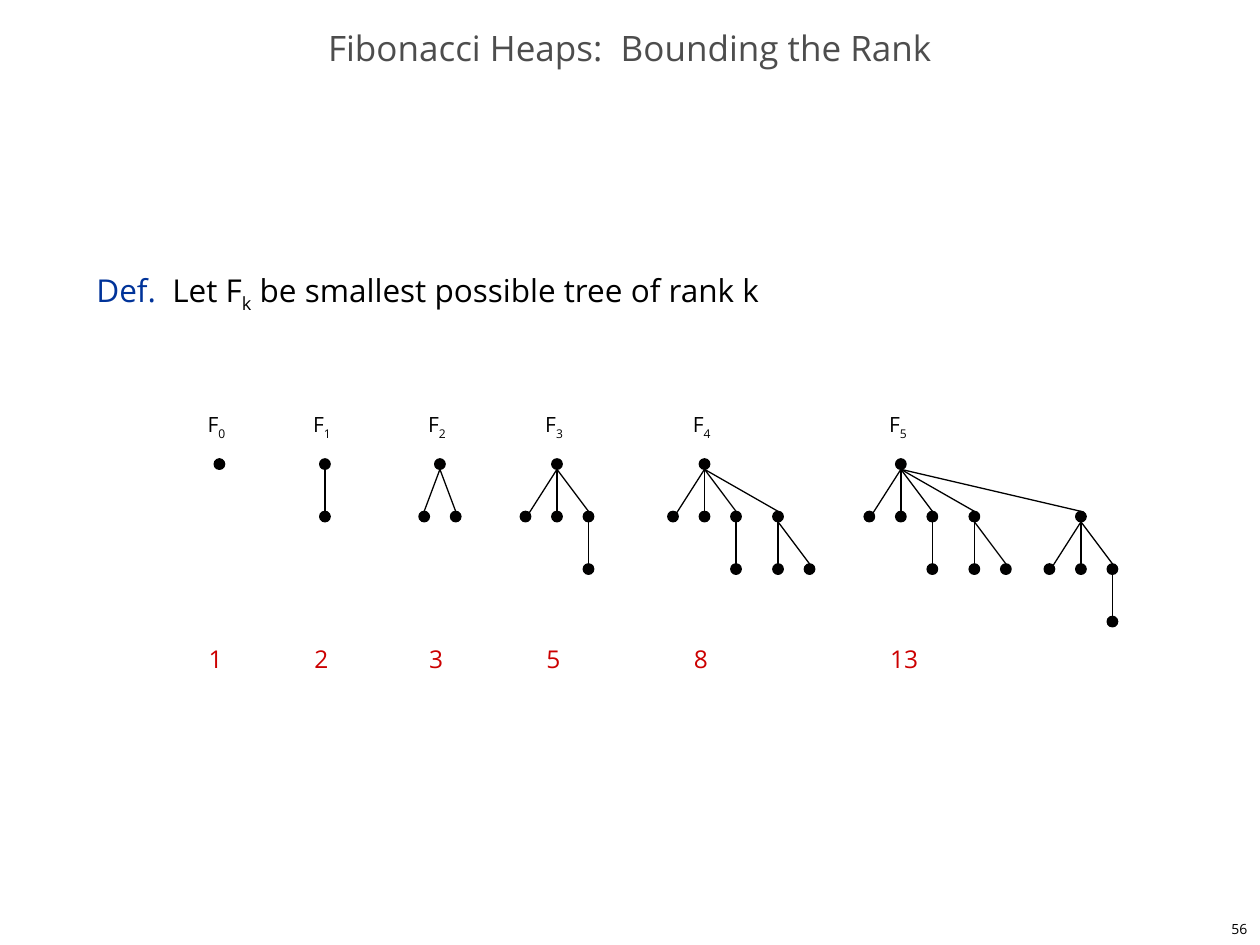
"""Build the slide on the smallest Fibonacci heap trees of each rank."""
from dataclasses import dataclass
from typing import NamedTuple

from lxml import etree
from pptx import Presentation
from pptx import util as u
from pptx.dml.color import RGBColor
from pptx.enum import shapes, text
from pptx.oxml.ns import qn

COLUMNS, ROWS = 120, 90
WIDTH, HEIGHT = u.Inches(10), u.Inches(7.5)
FONT = "Open Sans"
BLACK, GREY, BLUE, RED = "000000", "4D4D4D", "003399", "CC0000"
DOT_FILL = "010000"
DOT_SIZE, LEVEL = 1, 5
CORNER = 0.35
ROOT_ROW, LABEL_ROW, COUNT_ROW = 44.2, 38.64, 60.72
CHILD_OFFSETS = (-3, 0, 3, 7, 17.15)


class Area(NamedTuple):
    """A rectangle in grid columns and rows."""
    column: float
    row: float
    columns: float
    rows: float


class Span(NamedTuple):
    """A stretch of text with its colour and position."""
    words: str
    color: str = BLACK
    subscript: bool = False


@dataclass(frozen=True)
class Tree:
    """A smallest tree: its rank, node count and root column."""
    rank: int
    nodes: int
    column: float
    lean: float = 0


TREES = (
    Tree(0, 1, 20.9),
    Tree(1, 2, 30.95),
    Tree(2, 3, 41.9, lean=-1.5),
    Tree(3, 5, 53.05),
    Tree(4, 8, 67.1),
    Tree(5, 13, 85.8),
)


def x(column: float) -> int:
    """Return the length of a number of grid columns."""
    return round(WIDTH * column / COLUMNS)


def y(row: float) -> int:
    """Return the length of a number of grid rows."""
    return round(HEIGHT * row / ROWS)


def rgb(value: str) -> RGBColor:
    """Turn a hex string into a colour."""
    return RGBColor.from_string(value)


def place(box, area: Area) -> None:
    """Move and size a shape to an area."""
    box.left, box.top = x(area.column), y(area.row)
    box.width, box.height = x(area.columns), y(area.rows)


def write(box, *spans: Span, size: float, align=text.PP_ALIGN.LEFT,
          anchor=text.MSO_ANCHOR.TOP, wrap=False, spacing=None) -> None:
    """Fill a box with one formatted paragraph."""
    frame = box.text_frame
    frame.auto_size = text.MSO_AUTO_SIZE.NONE
    frame.word_wrap, frame.vertical_anchor = wrap, anchor
    para = frame.paragraphs[0]
    para.alignment, para.line_spacing = align, spacing
    for part in spans:
        span = para.add_run()
        span.text = part.words
        span.font.name, span.font.size = FONT, u.Pt(size)
        span.font.color.rgb = rgb(part.color)
        if part.subscript:
            span.font._element.set("baseline", "-25000")


def add_text(page, area: Area, *spans: Span, **style) -> None:
    """Add a text box with formatted spans."""
    box = page.shapes.add_textbox(0, 0, 0, 0)
    place(box, area)
    write(box, *spans, **style)


def add_dot(page, column: float, row: float):
    """Draw a node centred on a grid point."""
    dot = page.shapes.add_shape(shapes.MSO_SHAPE.OVAL, 0, 0, 0, 0)
    half = DOT_SIZE / 2
    place(dot, Area(column - half, row - half, DOT_SIZE, DOT_SIZE))
    dot.shadow.inherit = False
    dot.fill.solid()
    dot.fill.fore_color.rgb = rgb(DOT_FILL)
    dot.line.color.rgb = rgb(BLACK)
    dot.line.width = u.Pt(0.75)
    return dot


def add_edge(page, start: tuple[float, float], end: tuple[float, float]):
    """Draw a straight edge between two grid points."""
    edge = page.shapes.add_connector(
        shapes.MSO_CONNECTOR.STRAIGHT,
        x(start[0]), y(start[1]), x(end[0]), y(end[1]))
    edge.line.color.rgb = rgb(BLACK)
    edge.line.width = u.Pt(0.75)
    etree.SubElement(edge._element.spPr, qn("a:effectLst"))
    return edge


def draw_tree(page, rank: int, column: float, row: float, lean: float = 0):
    """Draw a smallest tree of a rank and return its root node."""
    root = add_dot(page, column, row)
    offsets = CHILD_OFFSETS[:rank] if rank > 2 else CHILD_OFFSETS[1:rank + 1]
    half = DOT_SIZE / 2
    for index, offset in enumerate(offsets):
        child_column, child_row = column + offset + lean, row + LEVEL
        child = draw_tree(page, max(0, index - 1), child_column, child_row)
        start = (column, row + half)
        if offset < 0:
            add_edge(page, start, (child_column + CORNER, child_row - CORNER))
        else:
            edge = add_edge(page, start, (child_column, child_row - half))
            edge.end_connect(child, 0)
    return root


def main() -> None:
    """Build and save the slide."""
    deck = Presentation()
    deck.slide_width, deck.slide_height = WIDTH, HEIGHT
    page = deck.slides.add_slide(deck.slide_layouts[5])
    middle = text.MSO_ANCHOR.MIDDLE

    title = page.shapes.title
    place(title, Area(0, 2, COLUMNS, 6))
    write(title, Span("Fibonacci Heaps:  Bounding the Rank", GREY), size=20,
          align=text.PP_ALIGN.CENTER, anchor=middle, wrap=True, spacing=0.7)
    add_text(page, Area(95, 87, 25, 3), Span("56"), size=8,
             align=text.PP_ALIGN.RIGHT, anchor=middle)
    add_text(page, Area(8, 25, 109, 8), Span("Def.  ", BLUE), Span("Let F"),
             Span("k", subscript=True),
             Span(" be smallest possible tree of rank k"),
             size=18, wrap=True, spacing=u.Pt(26))

    for tree in TREES:
        draw_tree(page, tree.rank, tree.column, ROOT_ROW, tree.lean)
        left = tree.column - 2.3
        add_text(page, Area(left, LABEL_ROW, 4.3, 3.6), Span("F"),
                 Span(str(tree.rank), subscript=True), size=12)
        digits = len(str(tree.nodes))
        add_text(page, Area(left + 0.1, COUNT_ROW, 2.3 + 1.55 * digits, 4),
                 Span(str(tree.nodes), RED), size=14)

    deck.save("out.pptx")


if __name__ == "__main__":
    main()
